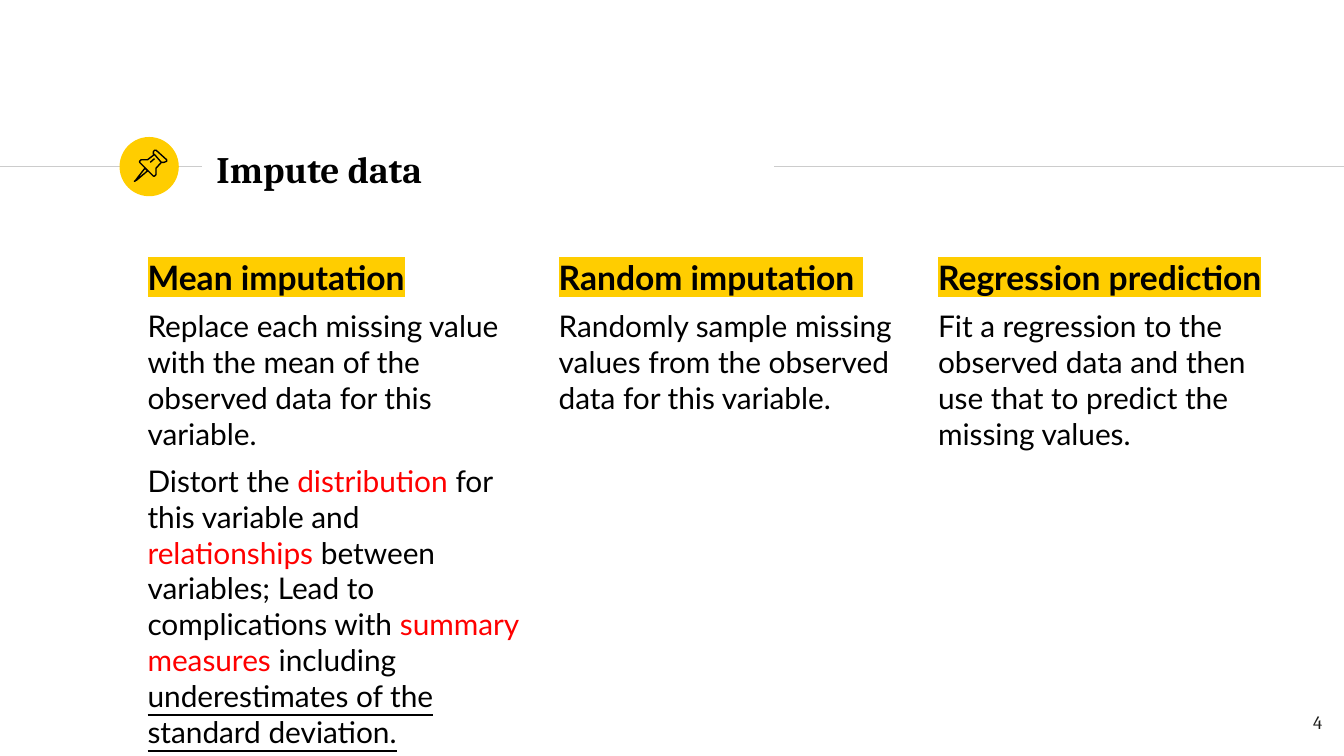
from lxml.etree import SubElement
from pptx import Presentation
from pptx.dml.color import RGBColor
from pptx.enum.shapes import MSO_CONNECTOR, MSO_SHAPE
from pptx.enum.text import MSO_ANCHOR, MSO_AUTO_SIZE, PP_ALIGN
from pptx.oxml import parse_xml
from pptx.oxml.ns import nsdecls, qn
from pptx.util import Cm, Pt

COLOURS = {
    "text": "000000",
    "accent": "FFCD00",
    "warning": "FF0000",
    "rule": "CCCCCC",
    "number": "1D1D1B",
}
COLUMNS = [
    (2.54, 7.77, "Mean imputation", [
        [("Replace each missing value with the mean of the observed data for this variable.", "")],
        [
            ("Distort the ", ""),
            ("distribution", "warning"),
            (" for this variable and ", ""),
            ("relationships", "warning"),
            (" between variables; Lead to complications with ", ""),
            ("summary measures ", "warning"),
            ("including ", ""),
            ("underestimates of the standard deviation.", "underline"),
        ],
    ]),
    (10.31, 6.81, "Random imputation ", [
        [("Randomly sample missing values from the observed data for this variable.", "")],
    ]),
    (17.48, 6.76, "Regression prediction", [
        [("Fit a regression to the observed data and then use that to predict the missing values.", "")],
    ]),
]
PIN_OUTLINES = [
    ([(274, 318), (257, 340), (254, 343), (259, 340), (279, 323)], True),
    ([(292, 292), (305, 307), (310, 307), (315, 305), (315, 302),
      (295, 284), (292, 284), (290, 287), (290, 292)], True),
    ([(292, 292), (279, 302), (274, 302), (267, 302), (264, 305), (264, 307),
      (290, 333), (292, 333), (295, 330), (295, 318), (305, 307)], False),
    ([(284, 307), (292, 300)], False),
]


def colour(name):
    """Return the named colour."""
    return RGBColor.from_string(COLOURS[name])


def style_font(font, name, size, colour_name="text", bold=False):
    """Set the face, size, colour and weight of a font."""
    font.name = name
    font.size = Pt(size)
    font.bold = bold
    font.color.rgb = colour(colour_name)


def set_frame(frame, anchor=MSO_ANCHOR.TOP):
    """Give a text frame wrapping and equal margins."""
    frame.word_wrap = True
    frame.auto_size = MSO_AUTO_SIZE.NONE
    frame.vertical_anchor = anchor
    frame.margin_left = frame.margin_right = Cm(0.25)
    frame.margin_top = frame.margin_bottom = Cm(0.25)


def add_text_box(slide, left, top, width, height):
    """Add a text box and return its frame."""
    frame = slide.shapes.add_textbox(Cm(left), Cm(top), Cm(width), Cm(height)).text_frame
    set_frame(frame)
    return frame


def highlight(run, colour_name):
    """Put a coloured highlight behind a run."""
    marker = SubElement(run.font._element, qn("a:highlight"))
    SubElement(marker, qn("a:srgbClr")).set("val", COLOURS[colour_name])


def add_rule(slide, start, end):
    """Draw a horizontal rule at title height."""
    rule = slide.shapes.add_connector(
        MSO_CONNECTOR.STRAIGHT, Cm(start), Cm(3.15), Cm(end), Cm(3.15))
    rule.line.color.rgb = colour("rule")
    rule.line.width = Pt(0.75)
    rule._element.spPr.append(parse_xml(f"<a:effectLst {nsdecls('a')}/>"))


def add_badge(slide):
    """Draw the round badge behind the pin."""
    badge = slide.shapes.add_shape(MSO_SHAPE.OVAL, Cm(2.26), Cm(2.59), Cm(1.12), Cm(1.12))
    badge.shadow.inherit = False
    badge.fill.solid()
    badge.fill.fore_color.rgb = colour("accent")
    badge.line.fill.background()


def add_pin(slide):
    """Draw the outlined pin as one group."""
    group = slide.shapes.add_group_shape()
    for points, closed in PIN_OUTLINES:
        builder = group.shapes.build_freeform(*points[0], scale=Cm(0.01))
        builder.add_line_segments(points[1:], close=closed)
        outline = builder.convert_to_shape()
        outline.shadow.inherit = False
        outline.fill.background()
        outline.line.color.rgb = colour("text")
        outline.line.width = Pt(0.75)


def set_title(slide, text):
    """Place and format the title."""
    title = slide.shapes.title
    title.left, title.top, title.width, title.height = Cm(3.84), Cm(2.57), Cm(6.48), Cm(1.22)
    set_frame(title.text_frame, MSO_ANCHOR.MIDDLE)
    title.text_frame.text = text
    paragraph = title.text_frame.paragraphs[0]
    paragraph.alignment = PP_ALIGN.LEFT
    style_font(paragraph.font, "Cambria", 20, bold=True)


def add_column(slide, left, width, heading, body):
    """Add a column with a highlighted heading and body paragraphs."""
    frame = add_text_box(slide, left, 4.6, width, 8.66)
    paragraph = frame.paragraphs[0]
    paragraph.space_before = Pt(6)
    style_font(paragraph.font, "Lato", 18, bold=True)
    run = paragraph.add_run()
    run.text = heading
    highlight(run, "accent")
    for runs in body:
        paragraph = frame.add_paragraph()
        paragraph.space_before = Pt(6)
        style_font(paragraph.font, "Lato", 16)
        for text, emphasis in runs:
            run = paragraph.add_run()
            run.text = text
            if emphasis == "warning":
                run.font.color.rgb = colour("warning")
            elif emphasis == "underline":
                run.font.underline = True


def add_slide_number(slide, number):
    """Add the slide number in the bottom corner."""
    frame = add_text_box(slide, 23.72, 13.18, 1.52, 1.09)
    paragraph = frame.paragraphs[0]
    paragraph.text = number
    paragraph.alignment = PP_ALIGN.RIGHT
    style_font(paragraph.font, "Cambria", 10, "number")


def main():
    """Build and save the presentation."""
    presentation = Presentation()
    presentation.slide_width, presentation.slide_height = Cm(25.4), Cm(14.29)
    slide = presentation.slides.add_slide(presentation.slide_layouts[5])
    add_rule(slide, 0, 3.81)
    add_badge(slide)
    add_rule(slide, 14.63, 25.4)
    set_title(slide, "Impute data")
    for column in COLUMNS:
        add_column(slide, *column)
    add_pin(slide)
    add_slide_number(slide, "4")
    presentation.save("out.pptx")


if __name__ == "__main__":
    main()
